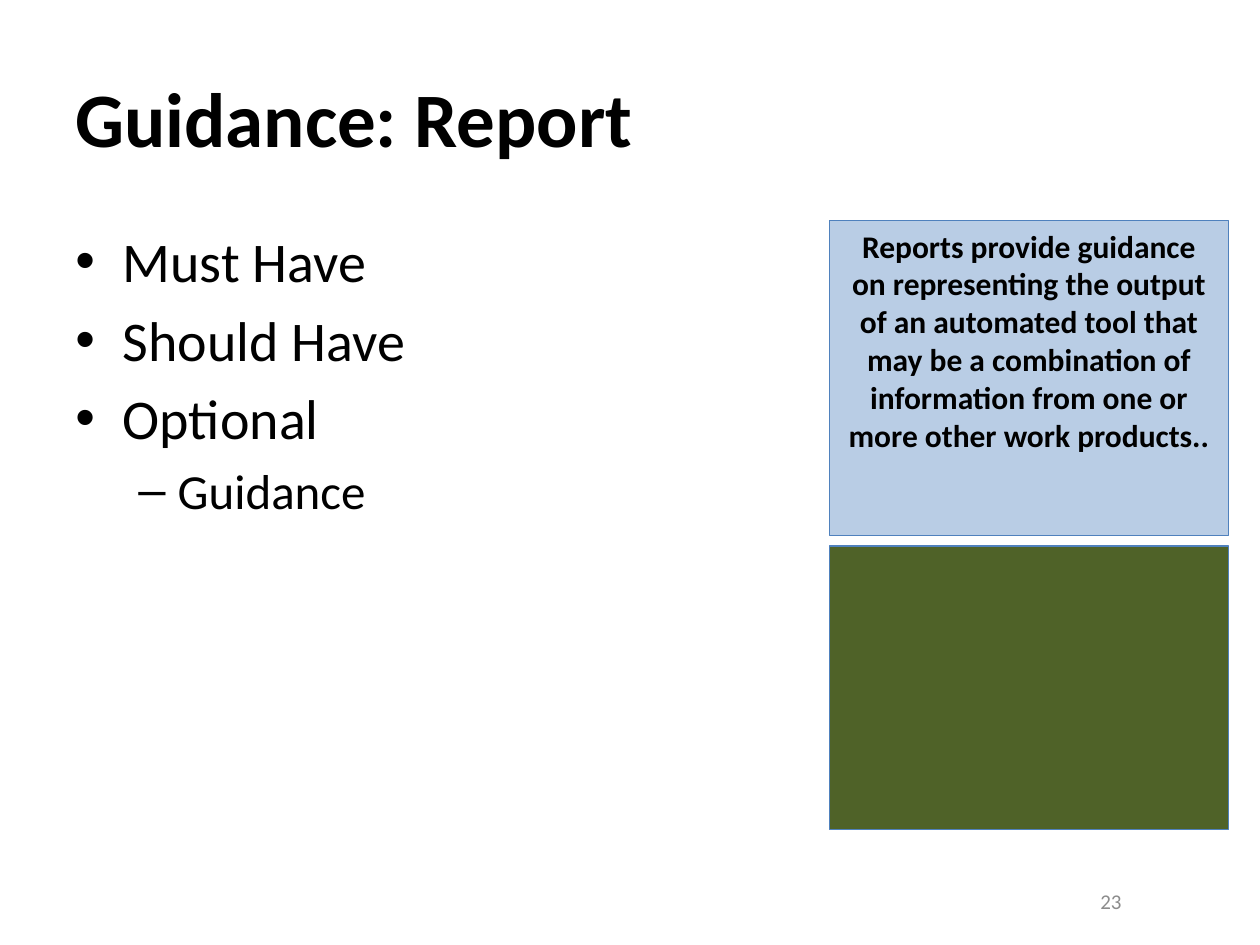
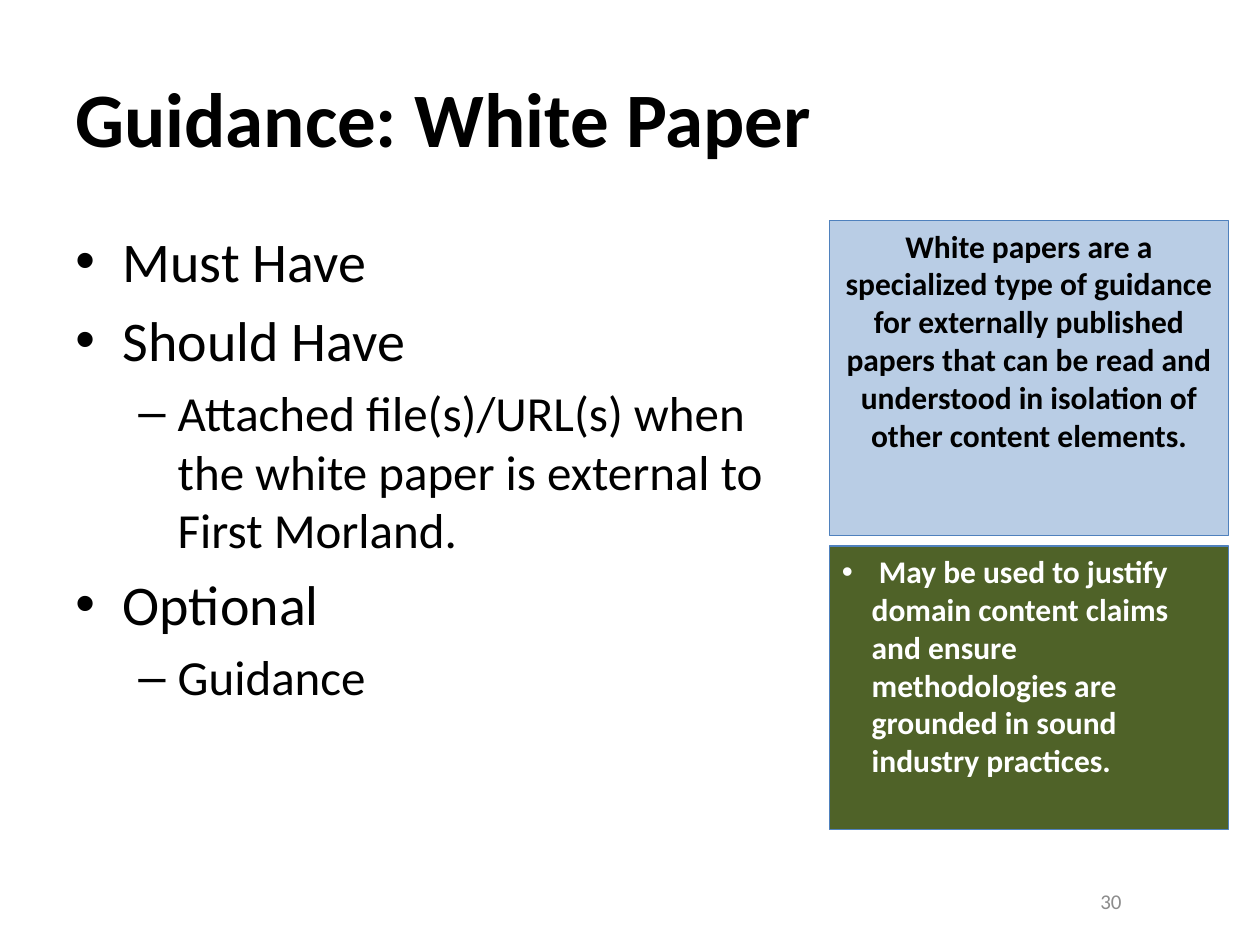
import pptx
import pptx.dml.color
import pptx.enum.shapes
import pptx.enum.text
import pptx.oxml.ns
import pptx.util
from lxml import etree

Pt = pptx.util.Pt
Align = pptx.enum.text.PP_ALIGN
Anchor = pptx.enum.text.MSO_ANCHOR

FONT = "Calibri"
COLORS = {
    "text": "000000",
    "number": "8C8C8C",
    "summary": "B9CDE5",
    "usage": "4F6228",
    "usage_text": "FFFFFF",
    "outline": "4F81BD",
}
# Bullet, left margin, hanging indent and font size of each outline level
LEVELS = [("•", 27, 27, 32), ("–", 58.5, 22.5, 28)]
PANEL_LEFT, PANEL_WIDTH = 474, 228
CONTENT_TOP = 126

SLIDES = [
    {
        "title": "Guidance: Report",
        "number": "23",
        "outline": [(0, "Must Have"), (0, "Should Have"), (0, "Optional"), (1, "Guidance")],
        "summary": "Reports provide guidance on representing the output of an automated "
                   "tool that may be a combination of information from one or more other "
                   "work products..",
        "usage": None,
    },
    {
        "title": "Guidance: White Paper",
        "number": "30",
        "outline": [
            (0, "Must Have"),
            (0, "Should Have"),
            (1, "Attached file(s)/URL(s) when the white paper is external to First Morland."),
            (0, "Optional"),
            (1, "Guidance"),
        ],
        "summary": "White papers are a specialized type of guidance for externally published "
                   "papers that can be read and understood in isolation of other content "
                   "elements.",
        "usage": " May be used to justify domain content claims and ensure methodologies "
                 "are grounded in sound industry practices.",
    },
]


def rgb(name):
    return pptx.dml.color.RGBColor.from_string(COLORS[name])


def set_bullet(para, char, margin, hanging):
    properties = para._p.get_or_add_pPr()
    properties.set("marL", str(Pt(margin)))
    properties.set("indent", str(-Pt(hanging)))
    font = etree.SubElement(properties, pptx.oxml.ns.qn("a:buFont"))
    font.set("typeface", "Arial")
    bullet = etree.SubElement(properties, pptx.oxml.ns.qn("a:buChar"))
    bullet.set("char", char)


def write(para, text, size, color="text", bold=False, align=Align.LEFT):
    para.alignment = align
    span = para.add_run()
    span.text = text
    span.font.name = FONT
    span.font.size = Pt(size)
    span.font.bold = bold
    span.font.color.rgb = rgb(color)


def add_text_box(slide, left, top, width, height, anchor=Anchor.MIDDLE):
    box = slide.shapes.add_textbox(Pt(left), Pt(top), Pt(width), Pt(height))
    frame = box.text_frame
    frame.word_wrap = True
    frame.vertical_anchor = anchor
    return frame


def add_title(slide, text):
    frame = add_text_box(slide, 36, 21.6, 648, 90)
    write(frame.paragraphs[0], text, 44, bold=True)


def add_page_number(slide, number):
    frame = add_text_box(slide, 516, 500.5, 132, 28.75)
    write(frame.paragraphs[0], number, 12, "number", align=Align.RIGHT)


def add_outline(slide, items):
    frame = add_text_box(slide, 36, CONTENT_TOP, 432, 348, Anchor.TOP)
    for index, (level, text) in enumerate(items):
        char, margin, hanging, size = LEVELS[level]
        para = frame.add_paragraph() if index else frame.paragraphs[0]
        para.level = level
        set_bullet(para, char, margin, hanging)
        if index:
            para.space_before = Pt(0.2 * size)
        write(para, text, size)


def add_panel(slide, top, height, fill):
    """Add a side panel and return its first paragraph."""
    panel = slide.shapes.add_shape(
        pptx.enum.shapes.MSO_SHAPE.RECTANGLE,
        Pt(PANEL_LEFT), Pt(top), Pt(PANEL_WIDTH), Pt(height))
    panel.shadow.inherit = False
    panel.fill.solid()
    panel.fill.fore_color.rgb = rgb(fill)
    panel.line.color.rgb = rgb("outline")
    panel.line.width = Pt(0.75)
    panel.text_frame.word_wrap = True
    panel.text_frame.vertical_anchor = Anchor.TOP
    return panel.text_frame.paragraphs[0]


def add_guidance_slide(deck, content):
    slide = deck.slides.add_slide(deck.slide_layouts[6])
    add_title(slide, content["title"])
    add_page_number(slide, content["number"])
    add_outline(slide, content["outline"])
    summary = add_panel(slide, CONTENT_TOP, 180, "summary")
    write(summary, content["summary"], 18, bold=True, align=Align.CENTER)
    usage = add_panel(slide, 312, 162, "usage")
    if content["usage"]:
        set_bullet(usage, "•", 17, 17)
        write(usage, content["usage"], 18, "usage_text", bold=True)


def main():
    deck = pptx.Presentation()
    deck.slide_width = Pt(720)
    deck.slide_height = Pt(540)
    for content in SLIDES:
        add_guidance_slide(deck, content)
    deck.save("out.pptx")


if __name__ == "__main__":
    main()
